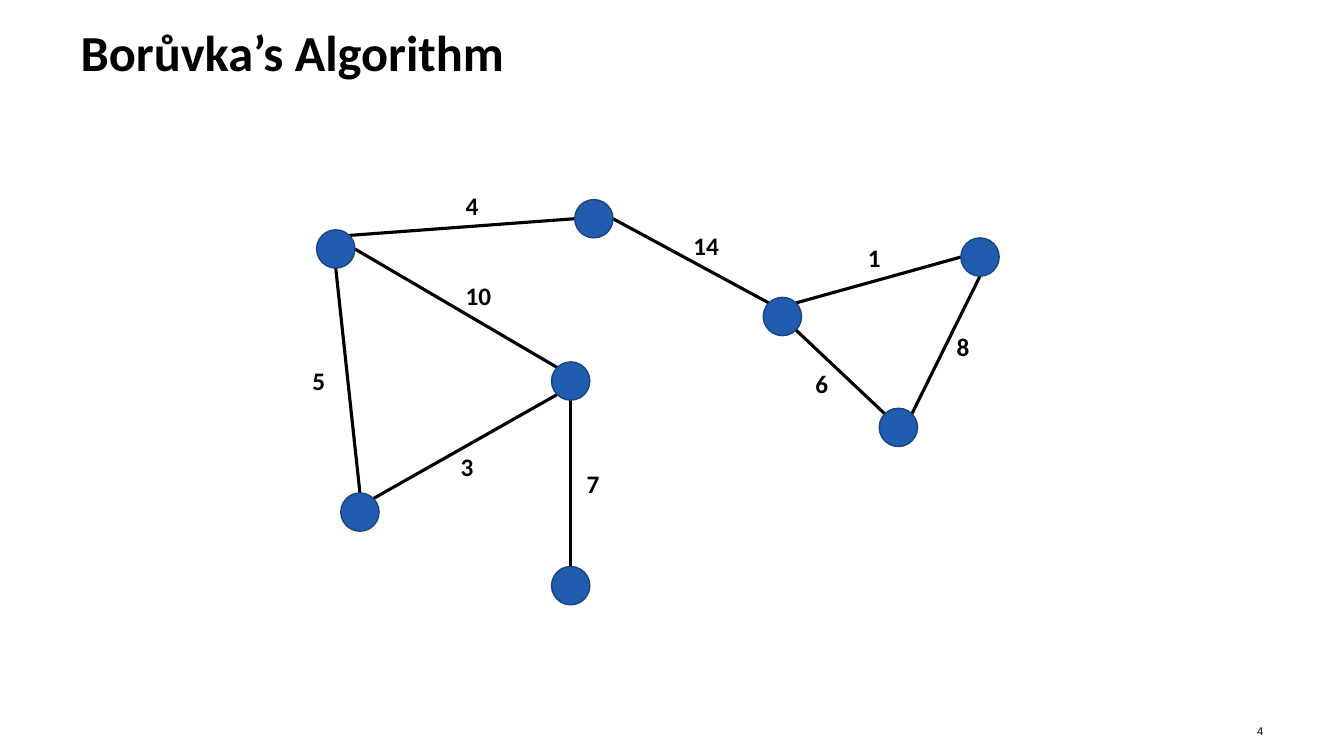
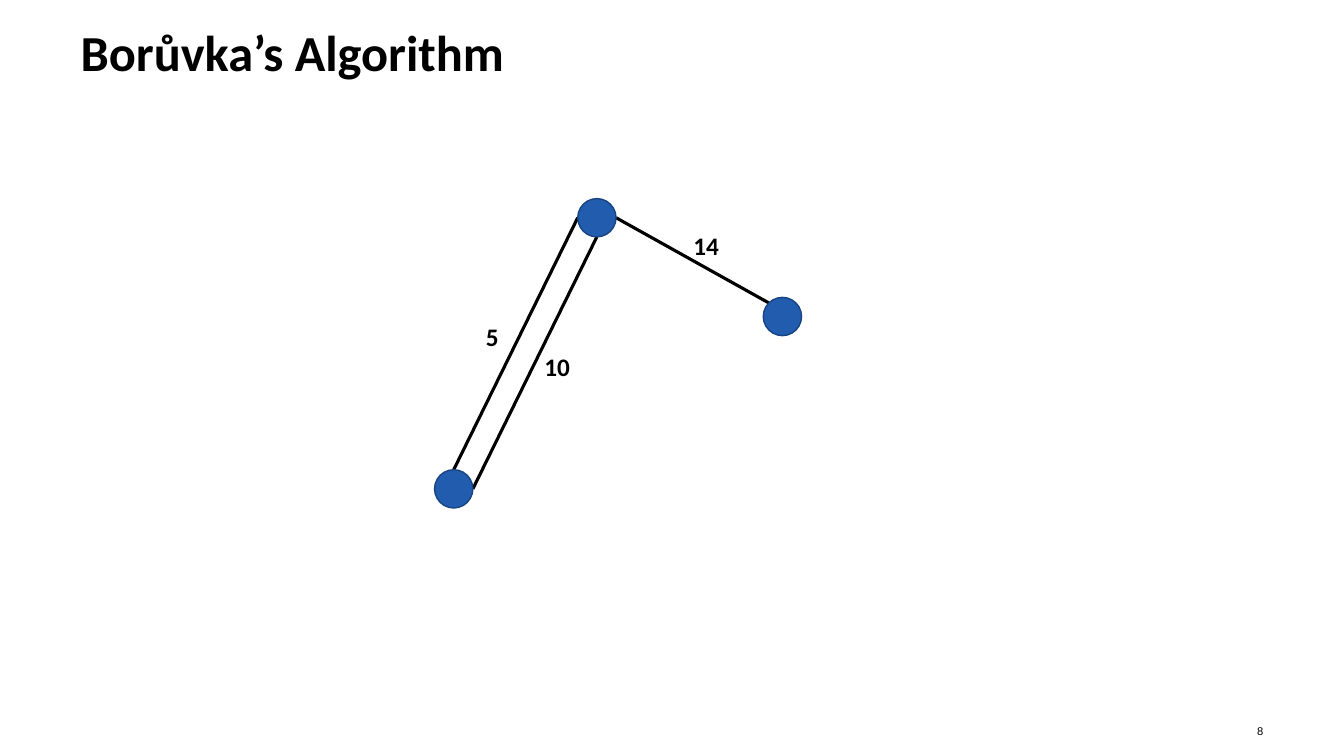
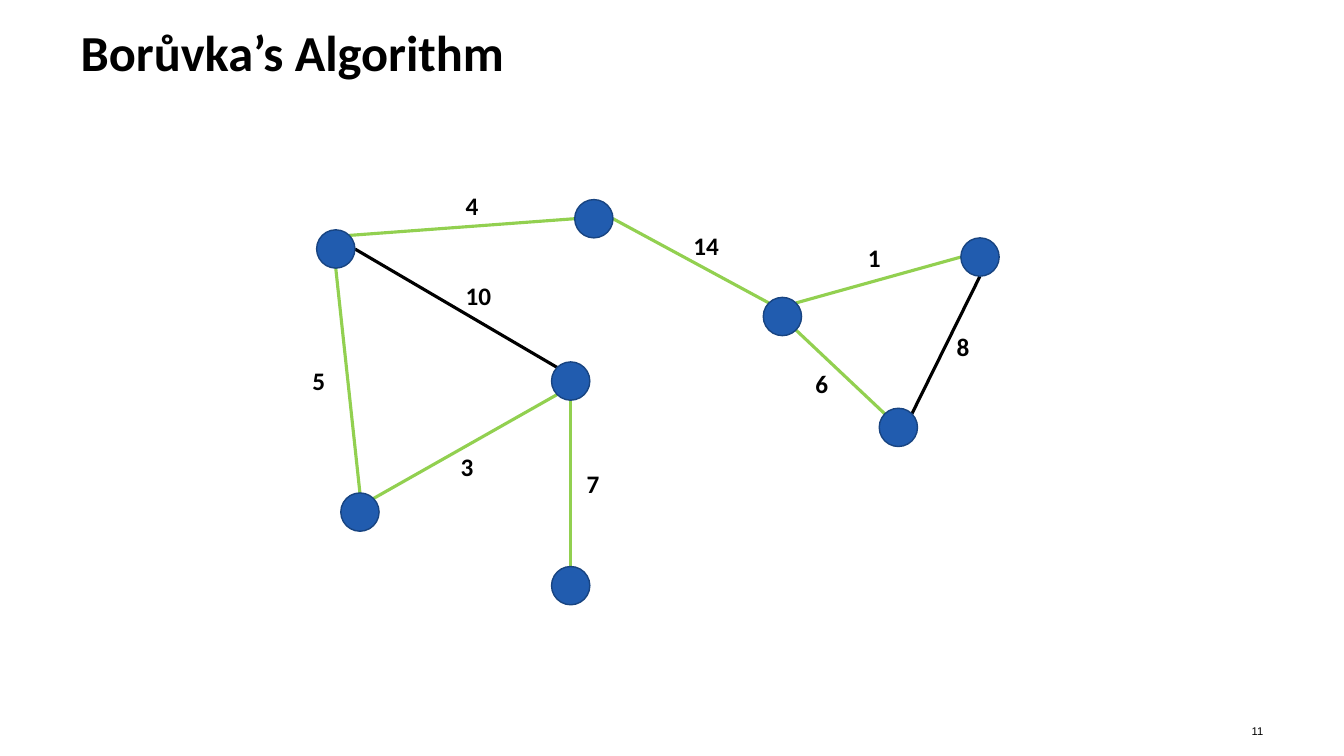
from dataclasses import dataclass
from math import cos, radians, sin

from lxml.etree import SubElement
from pptx import Presentation
from pptx.dml.color import RGBColor
from pptx.enum.shapes import MSO_CONNECTOR, MSO_SHAPE
from pptx.enum.text import MSO_ANCHOR, MSO_AUTO_SIZE, PP_ALIGN
from pptx.oxml.ns import qn
from pptx.util import Inches, Pt


@dataclass(frozen=True)
class Theme:
    text: RGBColor = RGBColor.from_string("000000")
    edge: RGBColor = RGBColor.from_string("000000")
    chosen_edge: RGBColor = RGBColor.from_string("92D050")
    node_fill: RGBColor = RGBColor.from_string("215CAF")
    node_line: RGBColor = RGBColor.from_string("184481")
    heading_font: str = "Calibri"
    number_font: str = "Arial"
    title_size: int = 36
    weight_size: int = 18
    number_size: int = 8
    edge_width: float = 2.25
    node_line_width: float = 1


@dataclass(frozen=True)
class Edge:
    weight: int
    start: str
    start_side: str
    end: str
    end_side: str
    label: tuple[float, float]


THEME = Theme()
TITLE = "Borůvka’s Algorithm"
NODE_SIZE = 0.38
SIDE_ANGLES = {
    side: step * 45
    for step, side in enumerate(("east", "southeast", "south", "southwest",
                                 "west", "northwest", "north", "northeast"))
}

FULL_NODES = {
    "top": (5.89, 2.17),
    "bottom": (5.66, 5.81),
    "middle": (5.66, 3.78),
    "lower left": (3.57, 5.08),
    "upper left": (3.33, 2.47),
    "upper right": (9.72, 2.55),
    "lower right": (8.91, 4.24),
    "hub": (7.76, 3.14),
}
FULL_EDGES = [
    Edge(10, "upper left", "east", "middle", "northwest", (4.52, 2.73)),
    Edge(7, "middle", "south", "bottom", "north", (5.72, 4.6)),
    Edge(3, "middle", "southwest", "lower left", "northeast", (4.47, 4.43)),
    Edge(4, "upper left", "northeast", "top", "west", (4.52, 1.84)),
    Edge(5, "upper left", "south", "lower left", "north", (3, 3.58)),
    Edge(14, "top", "east", "hub", "northwest", (6.78, 2.24)),
    Edge(1, "hub", "northeast", "upper right", "west", (8.51, 2.35)),
    Edge(6, "hub", "southeast", "lower right", "northwest", (7.99, 3.6)),
    Edge(8, "lower right", "northeast", "upper right", "south", (9.39, 3.24)),
]
SPANNING_TREE = {1, 3, 4, 5, 6, 7, 14}

MERGED_NODES = {
    "top": (5.92, 2.16),
    "hub": (7.76, 3.14),
    "lower left": (4.5, 4.85),
}
MERGED_EDGES = [
    Edge(10, "top", "south", "lower left", "east", (5.3, 3.44)),
    Edge(5, "top", "west", "lower left", "north", (4.72, 3.14)),
    Edge(14, "top", "east", "hub", "northwest", (6.78, 2.24)),
]


def add_text(page, text, left, top, width, height, size, font, bold=False):
    box = page.shapes.add_textbox(Inches(left), Inches(top), Inches(width), Inches(height))
    frame = box.text_frame
    frame.word_wrap = True
    para = frame.paragraphs[0]
    para.text = text
    para.font.size = Pt(size)
    para.font.name = font
    para.font.bold = bold
    para.font.color.rgb = THEME.text
    return frame


def remove_margins(frame):
    frame.margin_left = frame.margin_top = frame.margin_right = frame.margin_bottom = 0


def add_title(page):
    frame = add_text(page, TITLE, 0.8, 0.28, 11.73, 0.98,
                     THEME.title_size, THEME.heading_font, bold=True)
    remove_margins(frame)
    frame.paragraphs[0].line_spacing = 0.9


def add_page_number(page, number):
    frame = add_text(page, str(number), 12.18, 7.13, 0.35, 0.24,
                     THEME.number_size, THEME.number_font)
    remove_margins(frame)
    frame.vertical_anchor = MSO_ANCHOR.MIDDLE
    frame.paragraphs[0].alignment = PP_ALIGN.RIGHT


def add_weight(page, edge):
    text = str(edge.weight)
    width = 0.22 + 0.12 * len(text)
    frame = add_text(page, text, *edge.label, width, 0.4,
                     THEME.weight_size, THEME.heading_font, bold=True)
    frame.word_wrap = False
    frame.auto_size = MSO_AUTO_SIZE.SHAPE_TO_FIT_TEXT


def add_node(page, center):
    left, top = (Inches(value - NODE_SIZE / 2) for value in center)
    node = page.shapes.add_shape(MSO_SHAPE.OVAL, left, top, Inches(NODE_SIZE), Inches(NODE_SIZE))
    node.shadow.inherit = False
    node.fill.solid()
    node.fill.fore_color.rgb = THEME.node_fill
    node.line.color.rgb = THEME.node_line
    node.line.width = Pt(THEME.node_line_width)


def rim_point(center, side):
    angle = radians(SIDE_ANGLES[side])
    radius = NODE_SIZE / 2
    return Inches(center[0] + radius * cos(angle)), Inches(center[1] + radius * sin(angle))


def add_edge(page, nodes, edge, color):
    start = rim_point(nodes[edge.start], edge.start_side)
    end = rim_point(nodes[edge.end], edge.end_side)
    connector = page.shapes.add_connector(MSO_CONNECTOR.STRAIGHT, *start, *end)
    connector.line.color.rgb = color
    connector.line.width = Pt(THEME.edge_width)
    SubElement(connector._element.spPr, qn("a:effectLst"))


def add_graph_page(deck, number, nodes, edges, chosen=frozenset()):
    page = deck.slides.add_slide(deck.slide_layouts[6])
    add_title(page)
    add_page_number(page, number)
    for edge in edges:
        color = THEME.chosen_edge if edge.weight in chosen else THEME.edge
        add_edge(page, nodes, edge, color)
    for center in nodes.values():
        add_node(page, center)
    for edge in edges:
        add_weight(page, edge)


def main():
    deck = Presentation()
    deck.slide_width = Inches(13.33)
    deck.slide_height = Inches(7.5)
    add_graph_page(deck, 4, FULL_NODES, FULL_EDGES)
    add_graph_page(deck, 8, MERGED_NODES, MERGED_EDGES)
    add_graph_page(deck, 11, FULL_NODES, FULL_EDGES, SPANNING_TREE)
    deck.save("out.pptx")


if __name__ == "__main__":
    main()
